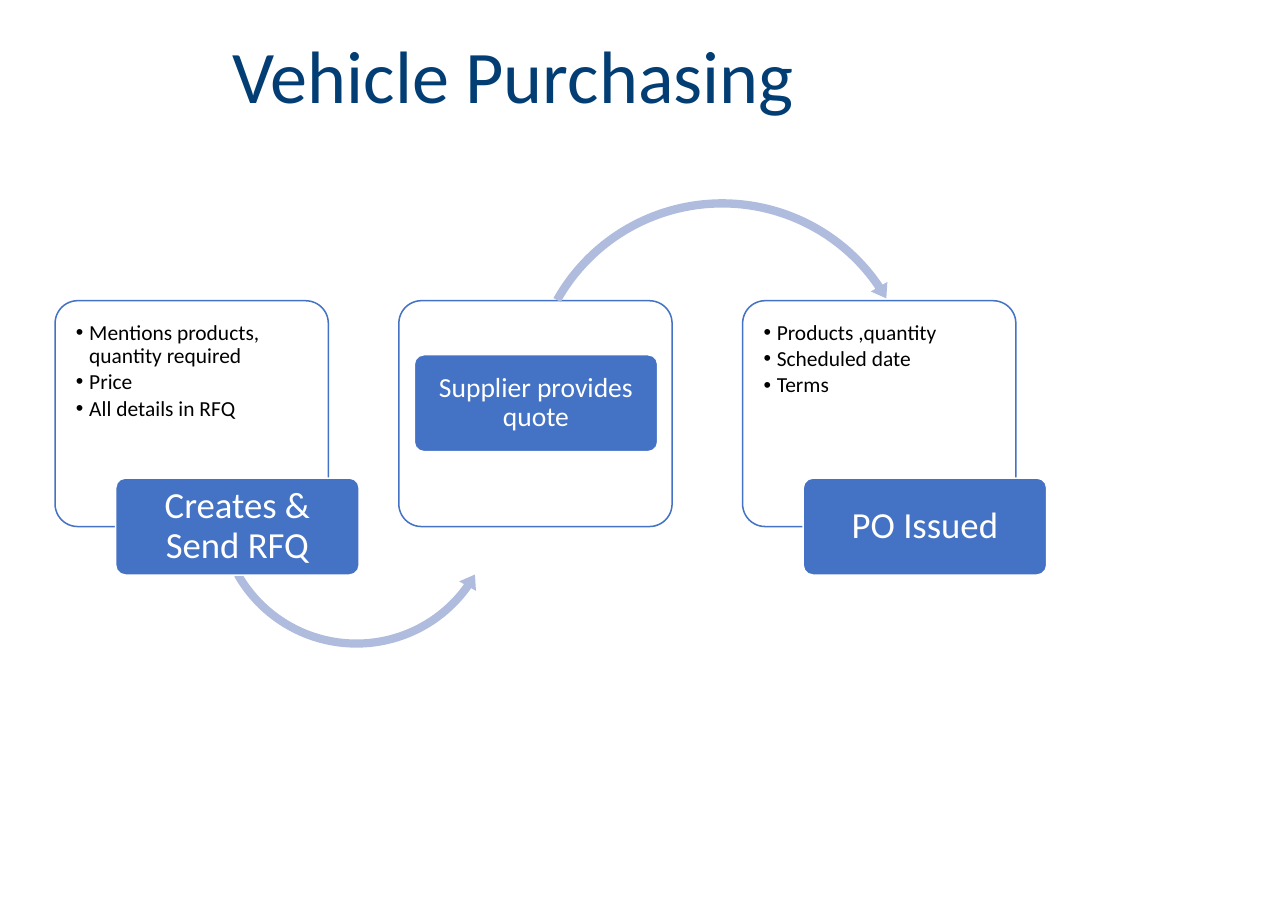
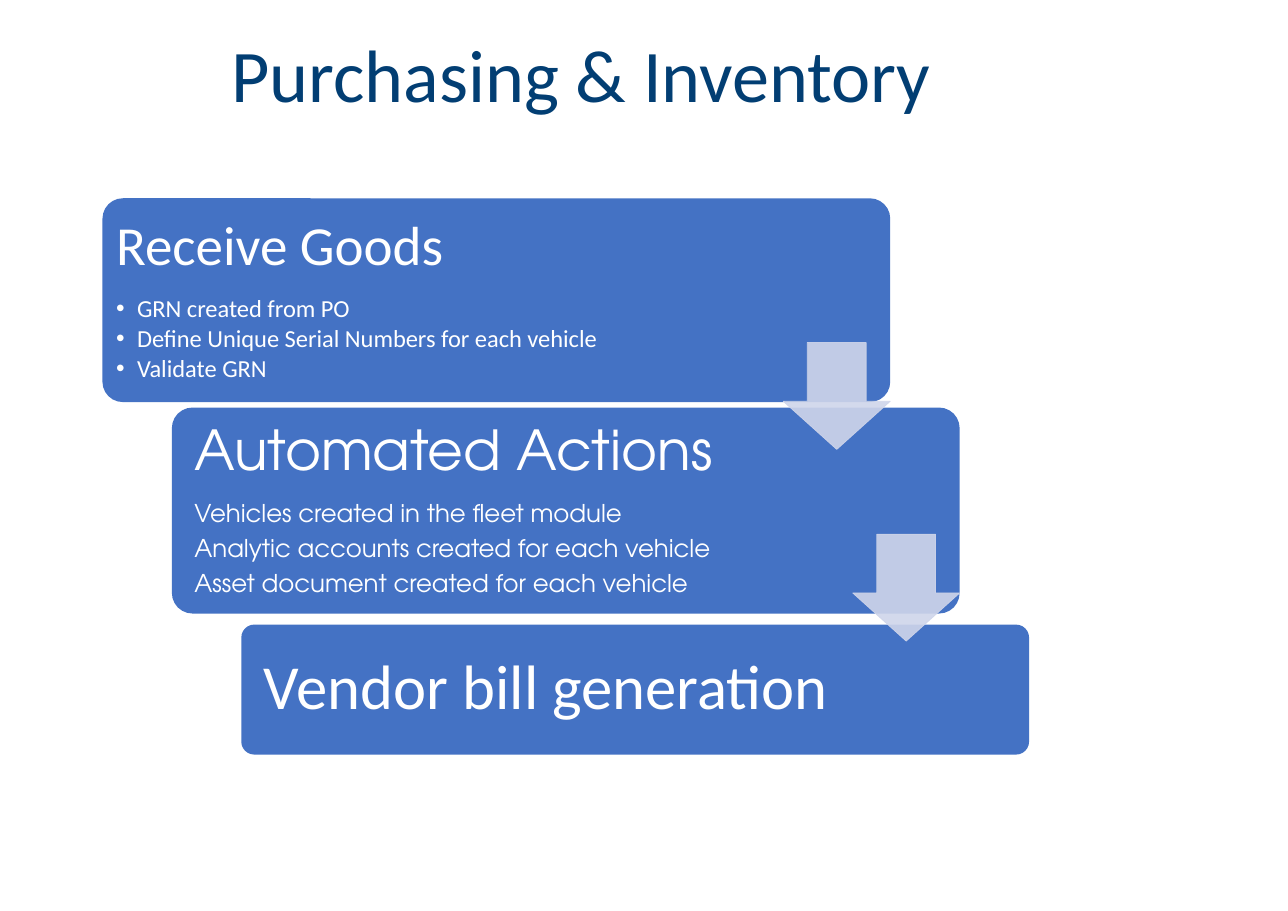
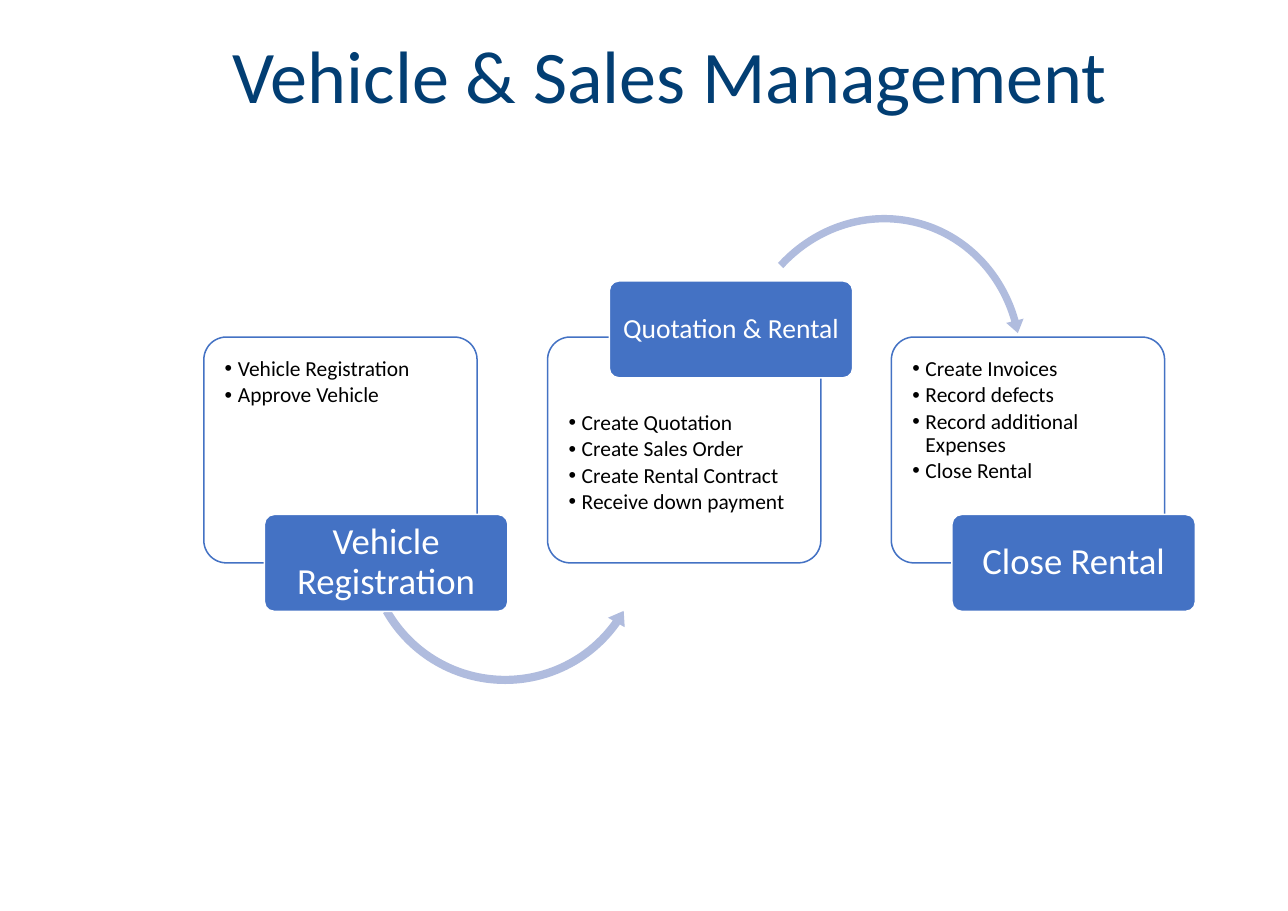
from lxml.etree import SubElement
from pptx import Presentation
from pptx.dml.color import RGBColor
from pptx.enum.shapes import MSO_SHAPE
from pptx.enum.text import MSO_ANCHOR, MSO_AUTO_SIZE, PP_ALIGN
from pptx.oxml.ns import qn
from pptx.util import Inches, Pt

COLORS = {
    "title": "023E73",
    "block": "4472C4",
    "white": "FFFFFF",
    "black": "000000",
    "curve": "B0BCDE",
    "down arrow": "CFD5EA",
}
FONT = "Calibri"


def write_text(frame, text, *, size, color="white", font=FONT, align=PP_ALIGN.LEFT,
               after=0.0, bullet_indent=None):
    """Add one paragraph; after is the space below as a share of the text size."""
    para = frame.paragraphs[0]
    if para.runs:
        para = frame.add_paragraph()
    if bullet_indent:
        properties = para._p.get_or_add_pPr()
        properties.set("marL", str(Inches(bullet_indent)))
        properties.set("indent", str(-Inches(bullet_indent)))
        SubElement(properties, qn("a:buFont"), typeface="Arial")
        SubElement(properties, qn("a:buChar"), char="•")
    para.alignment = align
    para.line_spacing = 0.9
    para.space_before = Pt(0)
    para.space_after = Pt(round(size * after, 1))
    span = para.add_run()
    span.text = text
    span.font.size = Pt(size)
    span.font.name = font
    span.font.color.rgb = RGBColor.from_string(COLORS[color])


def add_block(page, kind, place, *, fill, line=None, line_width=1, adjustments=(0.1,),
              rotation=0, opacity=100, insets=(0, 0, 0, 0), anchor=MSO_ANCHOR.MIDDLE):
    shape = page.shapes.add_shape(kind, *(Inches(length) for length in place))
    shape.shadow.inherit = False
    shape.rotation = rotation
    for index, value in enumerate(adjustments):
        shape.adjustments[index] = value
    shape.fill.solid()
    shape.fill.fore_color.rgb = RGBColor.from_string(COLORS[fill])
    if line:
        shape.line.color.rgb = RGBColor.from_string(COLORS[line])
        shape.line.width = Pt(line_width)
    else:
        shape.line.fill.background()
    if opacity < 100:
        for color in list(shape._element.spPr.iter(qn("a:srgbClr"))):
            SubElement(color, qn("a:alpha"), val=str(opacity * 1000))
    frame = shape.text_frame
    frame.word_wrap = True
    frame.vertical_anchor = anchor
    (frame.margin_left, frame.margin_top,
     frame.margin_right, frame.margin_bottom) = (Inches(inset) for inset in insets)
    return shape


deck = Presentation()
deck.slide_width = Inches(11.69)
deck.slide_height = Inches(8.27)

# Titles
pages = []
for text, place in (
    ("Vehicle Purchasing", (2.02, 0.31, 8.16, 0.99)),
    ("Purchasing & Inventory", (2.01, 0.3, 7.73, 1.08)),
    ("Vehicle & Sales Management", (2.02, 0.31, 8.16, 0.99)),
):
    page = deck.slides.add_slide(deck.slide_layouts[5])
    title = page.shapes.title
    title.left, title.top, title.width, title.height = (Inches(length) for length in place)
    frame = title.text_frame
    frame.auto_size = MSO_AUTO_SIZE.NONE
    frame.vertical_anchor = MSO_ANCHOR.TOP
    frame.margin_left, frame.margin_right = Inches(0.09), Inches(0)
    write_text(frame, text, size=48.5, color="title")
    pages.append(page)
purchasing_page, inventory_page, sales_page = pages

# Process flows: three panels, each with a tag, joined by curved arrows
PANEL_WIDTH, PANEL_HEIGHT, PANEL_STEP = 2.48, 2.05, 3.12
TAG_WIDTH, TAG_HEIGHT = 2.21, 0.88
LOW_TAG = (0.55, 1.61)
LEFT_CURVE = (0.028, 3.458, 21.213, 90.245, 0.033)

flows = (
    (purchasing_page, 0.5, 2.73, (
        ("Creates & Send RFQ", 24, LOW_TAG,
         ("Mentions products, quantity required", "Price", "All details in RFQ")),
        ("Supplier provides quote", 18, (0.14, 0.49), ()),
        ("PO Issued", 24, LOW_TAG, ("Products ,quantity", "Scheduled date", "Terms")),
    ), ((4.75, 1.76, 3.61, 3.61), 17.7, (0.021, 2.498, 184.953, 114.962, 0.024))),
    (sales_page, 1.85, 3.06, (
        ("Vehicle Registration", 24, LOW_TAG, ("Vehicle Registration", "Approve Vehicle")),
        ("Quotation & Rental", 18, (0.56, -0.51),
         ("Create Quotation", "Create Sales Order", "Create Rental Contract",
          "Receive down payment")),
        ("Close Rental", 24, LOW_TAG,
         ("Create Invoices", "Record defects", "Record additional Expenses",
          "Close Rental")),
    ), ((6.64, 1.9, 2.7, 2.86), 14.1, (0.025, 3.075, 196.221, 126.806, 0.03))),
)
for page, left, top, steps, (curve_place, curve_rotation, curve_shape) in flows:
    curves = (
        (MSO_SHAPE.LEFT_CIRCULAR_ARROW, (left + 1.41, top + 0.55, 2.65, 2.65), 0, LEFT_CURVE),
        (MSO_SHAPE.CIRCULAR_ARROW, curve_place, curve_rotation, curve_shape),
    )
    for index, (label, size, (tag_right, tag_down), points) in enumerate(steps):
        panel_left = left + index * PANEL_STEP
        text_top = 0.62 if tag_down < 0 else 0.13
        panel = add_block(page, MSO_SHAPE.ROUNDED_RECTANGLE,
                          (panel_left, top, PANEL_WIDTH, PANEL_HEIGHT),
                          fill="white", line="block", anchor=MSO_ANCHOR.TOP,
                          insets=(0.13, text_top, 0.13, 0.13))
        for point in points:
            write_text(panel.text_frame, point, size=14, color="black", after=0.15,
                       bullet_indent=0.12)
        if index < len(curves):
            kind, place, rotation, adjustments = curves[index]
            add_block(page, kind, place, fill="curve", rotation=rotation,
                      adjustments=adjustments)
        tag = add_block(page, MSO_SHAPE.ROUNDED_RECTANGLE,
                        (panel_left + tag_right, top + tag_down, TAG_WIDTH, TAG_HEIGHT),
                        fill="block", line="white", insets=(0.05, 0.03, 0.05, 0.03))
        write_text(tag.text_frame, label, size=size, align=PP_ALIGN.CENTER)

# Staircase of three blocks with down arrows between them
STAIR_LEFT, STAIR_STEP, STAIR_WIDTH = 0.93, 0.63, 7.15
ARROW_SIZE = 0.97
stairs = (
    (1.8, 1.85, 0.07, FONT, "Receive Goods", 36,
     ("GRN created from PO", "Define Unique Serial Numbers for each vehicle",
      "Validate GRN"), {"after": 0.15, "bullet_indent": 0.19}),
    (3.7, 1.87, 0.15, "TeX Gyre Adventor", "Automated Actions", 36,
     ("Vehicles created in the fleet module", "Analytic accounts created for each vehicle",
      "Asset document created for each vehicle"), {"after": 0.35}),
    (5.67, 1.18, 0.17, FONT, "Vendor bill generation", 41, (), {}),
)
for index, (top, height, inset, font, heading, size, points, style) in enumerate(stairs):
    stair = add_block(inventory_page, MSO_SHAPE.ROUNDED_RECTANGLE,
                      (STAIR_LEFT + index * STAIR_STEP, top, STAIR_WIDTH, height),
                      fill="block", insets=(inset,) * 4)
    write_text(stair.text_frame, heading, size=size, font=font,
               after=0.35 if points else 0)
    for point in points:
        write_text(stair.text_frame, point, size=16, font=font, **style)

for index, top in enumerate((3.11, 4.85)):
    right = STAIR_LEFT + index * STAIR_STEP + STAIR_WIDTH
    add_block(inventory_page, MSO_SHAPE.DOWN_ARROW,
              (right - ARROW_SIZE, top, ARROW_SIZE, ARROW_SIZE),
              fill="down arrow", line="down arrow", line_width=0.5,
              adjustments=(0.55, 0.45), opacity=90)

deck.save("out.pptx")
